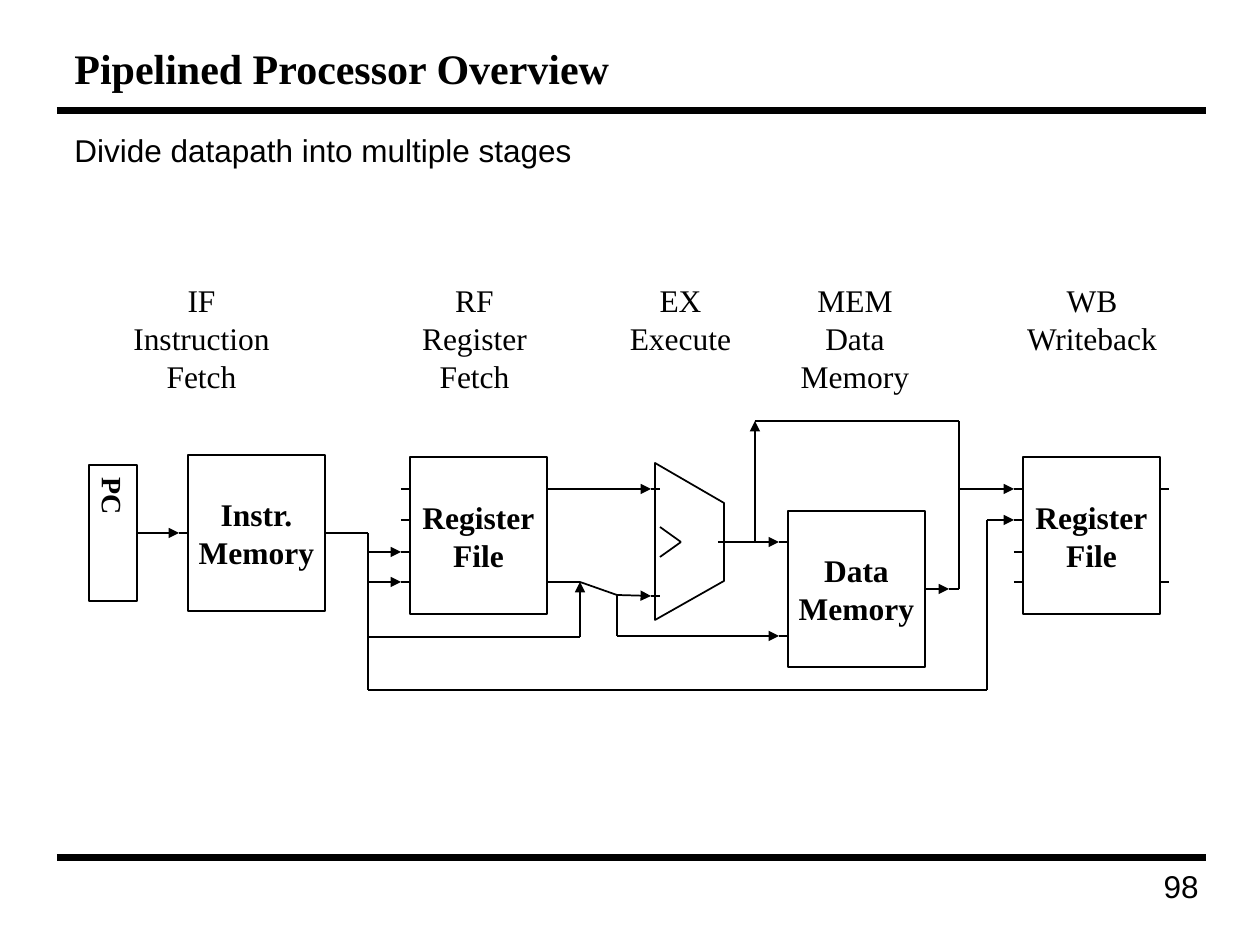
from dataclasses import dataclass

import pptx
import pptx.dml.color
import pptx.enum.shapes
import pptx.enum.text
import pptx.oxml
import pptx.oxml.ns
import pptx.util

PX = 914400 / 126
ALIGN = pptx.enum.text.PP_ALIGN
ANCHOR = pptx.enum.text.MSO_ANCHOR
RECT = pptx.enum.shapes.MSO_SHAPE.RECTANGLE
LINE = pptx.enum.shapes.MSO_CONNECTOR.STRAIGHT
LEFT, RIGHT = 1, 3
STUB = 9


@dataclass
class Theme:
    ink: str = "000000"
    paper: str = "FFFFFF"
    serif: str = "Times New Roman"
    sans: str = "Arial"
    title: int = 24
    body: int = 18
    small: int = 16
    thin: float = 1
    rule: float = 4


def emu(px):
    return pptx.util.Emu(round(px * PX))


def rgb(hex):
    return pptx.dml.color.RGBColor.from_string(hex)


def write(shape, text, font, size, ink, bold=False, align=ALIGN.CENTER,
          anchor=ANCHOR.TOP, wrap=False):
    """Fill the shape with text, one paragraph to a line."""
    frame = shape.text_frame
    frame.word_wrap = wrap
    frame.vertical_anchor = anchor
    frame.text = text
    for para in frame.paragraphs:
        para.alignment = align
        para.font.name = font
        para.font.size = pptx.util.Pt(size)
        para.font.bold = bold
        para.font.color.rgb = rgb(ink)


class Board:
    def __init__(self, slide, theme):
        self.shapes = slide.shapes
        self.theme = theme

    def label(self, text, x, y, w, h, font=None, size=None, **form):
        theme = self.theme
        box = self.shapes.add_textbox(emu(x), emu(y), emu(w), emu(h))
        write(box, text, font or theme.serif, size or theme.body, theme.ink, **form)
        return box

    def paint(self, shape):
        shape.shadow.inherit = False
        shape.fill.solid()
        shape.fill.fore_color.rgb = rgb(self.theme.paper)
        shape.line.color.rgb = rgb(self.theme.ink)
        shape.line.width = pptx.util.Pt(self.theme.thin)

    def block(self, text, x, y, w=137, h=157, size=None):
        box = self.shapes.add_shape(RECT, emu(x), emu(y), emu(w), emu(h))
        self.paint(box)
        write(box, text, self.theme.serif, size or self.theme.body,
              self.theme.ink, bold=True, anchor=ANCHOR.MIDDLE)
        return box

    def outline(self, points):
        pen = self.shapes.build_freeform(*points[0], scale=PX)
        pen.add_line_segments(points[1:], close=True)
        self.paint(pen.convert_to_shape())

    def line(self, start, end, width=None, arrow=False):
        link = self.shapes.add_connector(LINE, *map(emu, (*start, *end)))
        link.line.color.rgb = rgb(self.theme.ink)
        link.line.width = pptx.util.Pt(width or self.theme.thin)
        props = link._element.spPr
        if arrow:
            tail = pptx.oxml.parse_xml(
                f'<a:tailEnd {pptx.oxml.ns.nsdecls("a")} type="triangle"/>')
            link.line._get_or_add_ln().append(tail)
        props.append(pptx.oxml.parse_xml(
            f'<a:effectLst {pptx.oxml.ns.nsdecls("a")}/>'))
        return link

    def route(self, *points, arrow=True):
        """Draw joined lines, with an arrowhead at the last point."""
        last = len(points) - 2
        return [self.line(a, b, arrow=arrow and i == last)
                for i, (a, b) in enumerate(zip(points, points[1:]))]

    def ports(self, x, rows):
        """Draw short stubs that start at x, one for each row."""
        return [self.line((x, y), (x + STUB, y)) for y in rows]

    def bank(self, x):
        """Draw a register file with its ports."""
        self.block("Register\nFile", x, 457)
        self.ports(x - STUB, (489, 520, 552, 582))
        self.ports(x + 137, (489, 582))


def frame(board):
    theme = board.theme
    for y in (111, 858):
        board.line((57, y), (1206, y), theme.rule)
    board.label("98", 953, 861, 258, 62, theme.sans, align=ALIGN.RIGHT, wrap=True)
    board.label("Divide datapath into multiple stages", 62, 125, 1139, 726,
                theme.sans, align=ALIGN.LEFT, wrap=True)
    board.label("Pipelined Processor Overview", 62, 31, 1139, 73, size=theme.title,
                bold=True, align=ALIGN.LEFT, anchor=ANCHOR.MIDDLE, wrap=True)


def stages(board):
    for text, x, w in (
        ("IF\nInstruction\nFetch", 118, 167),
        ("RF\nRegister\nFetch", 407, 135),
        ("EX\nExecute", 614, 133),
        ("MEM\nData\nMemory", 786, 138),
        ("WB\nWriteback", 1012, 160),
    ):
        rows = text.count("\n") + 1
        box = board.label(text, x, 275, w, 12 + 38 * rows)
        box.text_frame.auto_size = pptx.enum.text.MSO_AUTO_SIZE.SHAPE_TO_FIT_TEXT


def units(board):
    board.outline([(655, 620), (724, 581), (724, 503), (655, 463)])
    board.route((660, 527), (681, 542), (660, 557), arrow=False)
    board.ports(651, (489, 596))

    count = board.block("PC", 89, 465, 48, 136, board.theme.small)
    count.text_frame._txBody.bodyPr.set("vert", "eaVert")
    code = board.block("Instr.\nMemory", 188, 455, h=156)
    data = board.block("Data\nMemory", 788, 511, h=156)
    board.bank(410)
    board.bank(1023)

    board.ports(137, [533])[0].begin_connect(count, RIGHT)
    board.route((146, 533), (179, 533))
    board.ports(179, [533])[0].end_connect(code, LEFT)
    board.ports(779, (542, 636))
    board.ports(925, [589])[0].begin_connect(data, RIGHT)
    return code


def wires(board, code):
    trunk = board.route((325, 533), (368, 533), (368, 690), (987, 690),
                        (987, 520), (1014, 520))
    trunk[0].begin_connect(code, RIGHT)
    for y in (552, 582):
        board.route((368, y), (401, y))
    board.route((368, 637), (580, 637), (580, 582))

    board.route((556, 489), (651, 489))
    board.route((556, 582), (580, 582), (617, 595), (651, 596))
    board.route((617, 595), (617, 636), (779, 636))

    board.route((718, 542), (779, 542))
    board.route((755, 542), (755, 421))
    board.route((755, 421), (959, 421), (959, 489), (1014, 489))
    board.route((934, 589), (949, 589))
    board.route((949, 589), (959, 589), (959, 489), arrow=False)


def main():
    deck = pptx.Presentation()
    deck.slide_width, deck.slide_height = emu(1260), emu(945)
    board = Board(deck.slides.add_slide(deck.slide_layouts[6]), Theme())
    frame(board)
    code = units(board)
    wires(board, code)
    stages(board)
    deck.save("out.pptx")


if __name__ == "__main__":
    main()
